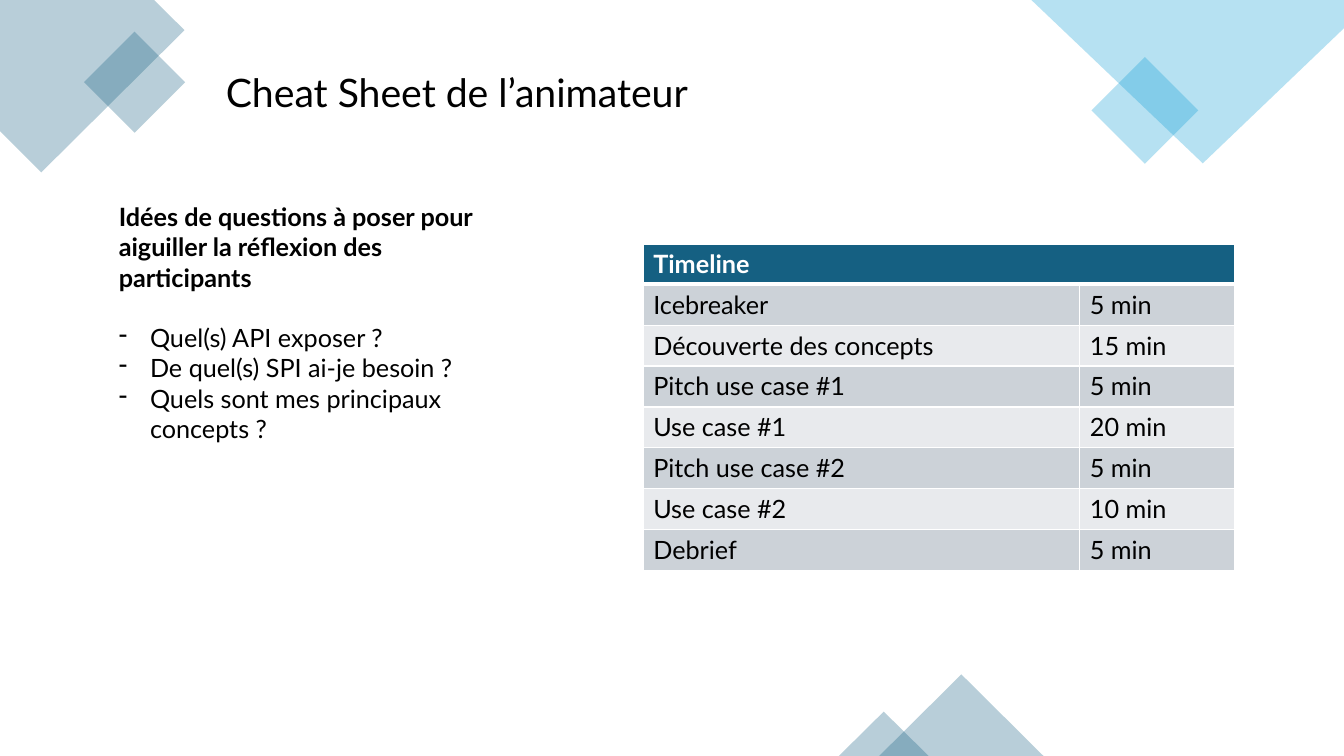
import pptx
import pptx.dml.color
import pptx.enum.shapes
import pptx.enum.text
import pptx.oxml
import pptx.oxml.ns
import pptx.util
from pptx.util import Inches

RGBColor = pptx.dml.color.RGBColor
MSO_SHAPE = pptx.enum.shapes.MSO_SHAPE
MSO_ANCHOR = pptx.enum.text.MSO_ANCHOR
MSO_AUTO_SIZE = pptx.enum.text.MSO_AUTO_SIZE
PP_ALIGN = pptx.enum.text.PP_ALIGN

TEAL = RGBColor(0x15, 0x60, 0x82)
SKY = RGBColor(0x0F, 0x9E, 0xD5)
BLACK = RGBColor(0, 0, 0)
WHITE = RGBColor(0xFF, 0xFF, 0xFF)
ROW_DARK = RGBColor(0xCC, 0xD2, 0xD8)
ROW_LIGHT = RGBColor(0xE8, 0xEA, 0xED)

QUESTIONS = [
    "Quel(s) API exposer ?",
    "De quel(s) SPI ai-je besoin ?",
    "Quels sont mes principaux concepts ?",
]
TIMELINE = [
    ("Icebreaker", "5 min"),
    ("Découverte des concepts", "15 min"),
    ("Pitch use case #1", "5 min"),
    ("Use case #1", "20 min"),
    ("Pitch use case #2", "5 min"),
    ("Use case #2", "10 min"),
    ("Debrief", "5 min"),
]


def write(paragraph, text, size=18, color=BLACK, bold=False, bullet=None, before=0):
    paragraph.alignment = PP_ALIGN.LEFT
    paragraph.space_before = pptx.util.Pt(before)
    run = paragraph.add_run()
    run.text = text
    run.font.name = "Lato"
    run.font.size = pptx.util.Pt(size)
    run.font.color.rgb = color
    run.font.bold = bold
    if bullet:
        properties = paragraph._p.get_or_add_pPr()
        properties.set("marL", str(Inches(0.31)))
        properties.set("indent", str(Inches(-0.31)))
        pptx.oxml.ns.qn("a:buChar")
        character = pptx.oxml.parse_xml(
            f'<a:buChar {pptx.oxml.ns.nsdecls("a")} char="{bullet}"/>')
        properties.append(character)


class SlideBuilder:
    alpha = 30
    header_height = 0.4

    def __init__(self, presentation):
        self.slide = presentation.slides.add_slide(presentation.slide_layouts[5])
        self.shapes = self.slide.shapes

    def tint(self, shape, color):
        shape.shadow.inherit = False
        shape.line.fill.background()
        shape.fill.solid()
        shape.fill.fore_color.rgb = color
        color_element = shape._element.spPr.find(".//" + pptx.oxml.ns.qn("a:srgbClr"))
        color_element.append(pptx.oxml.parse_xml(
            f'<a:alpha {pptx.oxml.ns.nsdecls("a")} val="{self.alpha * 1000}"/>'))

    def preset(self, kind, left, top, width, height, color, rotation=0):
        shape = self.shapes.add_shape(
            kind, Inches(left), Inches(top), Inches(width), Inches(height))
        shape.rotation = rotation
        self.tint(shape, color)

    def polygon(self, points, color):
        start, *corners = [(Inches(x), Inches(y)) for x, y in points]
        builder = self.shapes.build_freeform(*start)
        builder.add_line_segments(corners, close=True)
        self.tint(builder.convert_to_shape(), color)

    def title(self, text, left, top, width, height):
        title = self.shapes.title
        title.left, title.top = Inches(left), Inches(top)
        title.width, title.height = Inches(width), Inches(height)
        frame = title.text_frame
        frame.word_wrap = False
        frame.auto_size = MSO_AUTO_SIZE.SHAPE_TO_FIT_TEXT
        frame.vertical_anchor = MSO_ANCHOR.TOP
        write(frame.paragraphs[0], text, size=28)

    def bullet_list(self, heading, items, left, top, width, height):
        box = self.shapes.add_textbox(
            Inches(left), Inches(top), Inches(width), Inches(height))
        frame = box.text_frame
        frame.word_wrap = True
        write(frame.paragraphs[0], heading, bold=True)
        for index, item in enumerate(items):
            write(frame.add_paragraph(), item, bullet="-",
                  before=21.6 if index == 0 else 0)

    def cell(self, cell, text, fill, color=BLACK, bold=False, top=1, bottom=1):
        properties = cell._tc.get_or_add_tcPr()
        for side, points in (("L", 1), ("R", 1), ("T", top), ("B", bottom)):
            properties.append(pptx.oxml.parse_xml(
                f'<a:ln{side} {pptx.oxml.ns.nsdecls("a")} w="{pptx.util.Pt(points)}">'
                f'<a:solidFill><a:srgbClr val="{WHITE}"/></a:solidFill></a:ln{side}>'))
        cell.fill.solid()
        cell.fill.fore_color.rgb = fill
        if text:
            write(cell.text_frame.paragraphs[0], text, color=color, bold=bold)

    def table(self, heading, rows, left, top, widths, height):
        table = self.shapes.add_table(
            len(rows) + 1, len(widths), Inches(left), Inches(top),
            Inches(sum(widths)), Inches(height)).table
        table.horz_banding = False
        for column, width in zip(table.columns, widths):
            column.width = Inches(width)
        for row in table.rows:
            row.height = Inches((height - self.header_height) / len(rows))
        table.rows[0].height = Inches(self.header_height)
        table.cell(0, 0).merge(table.cell(0, len(widths) - 1))
        for column, text in enumerate((heading, "")):
            self.cell(table.cell(0, column), text, TEAL, WHITE, bold=True, bottom=3)
        for number, values in enumerate(rows, start=1):
            fill = ROW_DARK if number % 2 else ROW_LIGHT
            for column, text in enumerate(values):
                self.cell(table.cell(number, column), text, fill,
                          top=3 if number == 1 else 1)


def main():
    presentation = pptx.Presentation()
    presentation.slide_width = Inches(13.33)
    presentation.slide_height = Inches(7.5)
    builder = SlideBuilder(presentation)
    builder.polygon([(1.53, 0), (0, 0), (0, 1.3), (0.41, 1.71), (1.83, 0.3)], TEAL)
    builder.preset(MSO_SHAPE.RECTANGLE, 0.98, 0.46, 0.71, 0.71, TEAL, rotation=315)
    builder.preset(MSO_SHAPE.RECTANGLE, 10.98, 0.72, 0.75, 0.75, SKY, rotation=315)
    builder.polygon([(13.33, 0), (10.23, 0), (11.93, 1.62), (13.33, 0.28)], SKY)
    builder.preset(MSO_SHAPE.ISOSCELES_TRIANGLE, 8.72, 6.69, 1.63, 0.81, TEAL)
    builder.preset(MSO_SHAPE.ISOSCELES_TRIANGLE, 8.32, 7.06, 0.89, 0.44, TEAL)
    builder.title("Cheat Sheet de l’animateur", 2.14, 0.63, 4.8, 0.57)
    builder.bullet_list(
        "Idées de questions à poser pour aiguiller la réflexion des participants",
        QUESTIONS, 1.08, 1.95, 3.9, 2.52)
    builder.table("Timeline", TIMELINE, 6.38, 2.42, (4.33, 1.54), 3.24)
    presentation.save("out.pptx")


if __name__ == "__main__":
    main()
